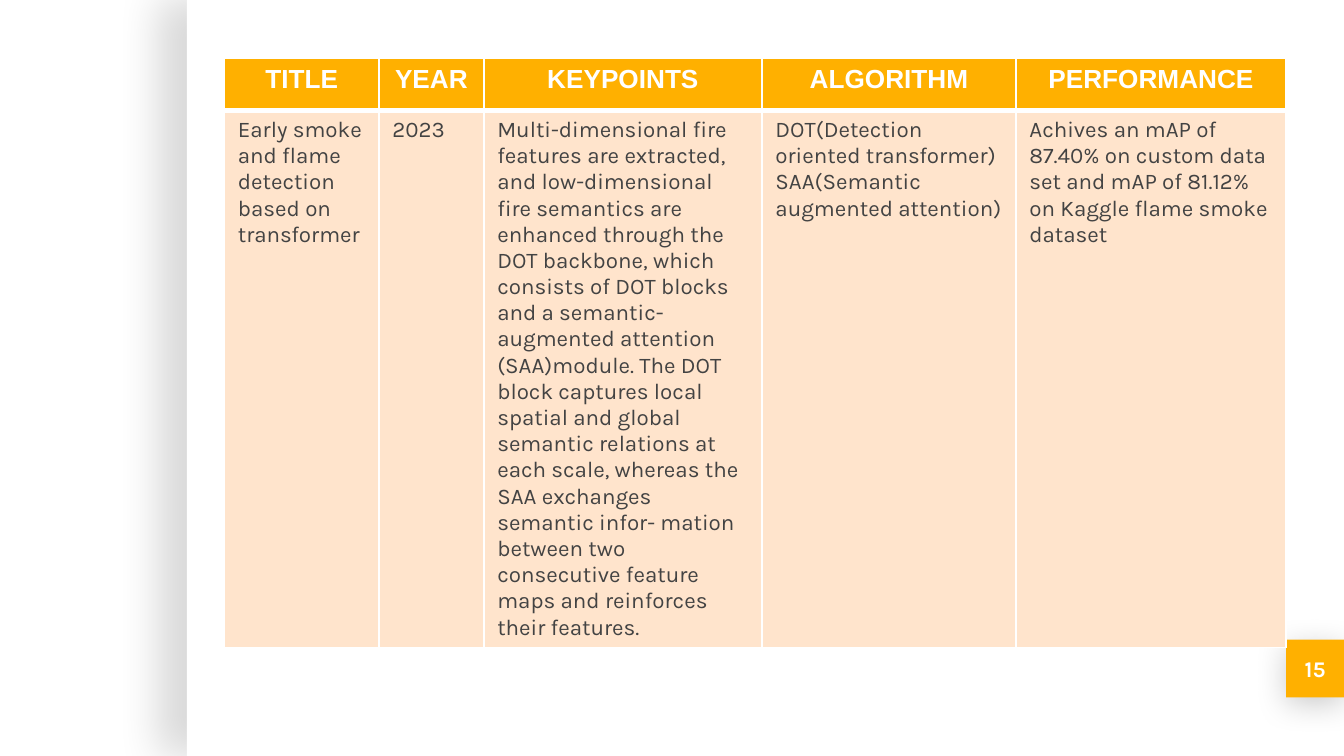
import dataclasses

import pptx
import pptx.util
import pptx.oxml.ns
import pptx.dml.color
import pptx.enum.shapes
import pptx.enum.text
from lxml import etree

Inches = pptx.util.Inches
Pt = pptx.util.Pt
RGBColor = pptx.dml.color.RGBColor
Align = pptx.enum.text.PP_ALIGN
qn = pptx.oxml.ns.qn

WIDE = 10
HIGH = WIDE * 9 / 16

WHITE = RGBColor(0xFF, 0xFF, 0xFF)
BLACK = RGBColor(0, 0, 0)
AMBER = RGBColor(0xFF, 0xB0, 0x00)
PEACH = RGBColor(0xFF, 0xE4, 0xCC)
GRAY = RGBColor(0x43, 0x43, 0x43)


@dataclasses.dataclass
class Font:
    name: str
    size: float
    color: RGBColor
    bold: bool = False


@dataclasses.dataclass
class Shade:
    alpha: int  # percent
    blur: float  # points
    dist: float  # points
    angle: int  # degrees


@dataclasses.dataclass
class Column:
    head: str
    width: float
    paras: list[str]


HEAD = Font("Arial", 14, WHITE, True)
BODY = Font("Karla", 12, GRAY)
PAGE = Font("Karla", 12, WHITE, True)

COLUMNS = [
    Column("TITLE", 1.15, ["Early smoke and flame detection based on transformer"]),
    Column("YEAR", 0.78, ["2023"]),
    Column("KEYPOINTS", 2.07, [
        "Multi-dimensional fire features are extracted, and low-dimensional fire "
        "semantics are enhanced through the DOT backbone, which consists of DOT "
        "blocks and a semantic-augmented attention (SAA)module. The DOT block "
        "captures local spatial and global semantic relations at each scale, "
        "whereas the SAA exchanges semantic infor- mation between two consecutive "
        "feature maps and reinforces their features."]),
    Column("ALGORITHM", 1.89, ["DOT(Detection oriented transformer)",
                               "SAA(Semantic augmented attention)"]),
    Column("PERFORMANCE", 2.01, ["Achives an mAP of 87.40% on custom data set and mAP "
                                 "of 81.12% on Kaggle flame smoke dataset"]),
]


def write(frame, paras: list[str], font: Font, align=Align.LEFT) -> None:
    for i, text in enumerate(paras):
        para = frame.paragraphs[0] if i == 0 else frame.add_paragraph()
        para.alignment = align
        run = para.add_run()
        run.text = text
        run.font.name = font.name
        run.font.size = Pt(font.size)
        run.font.bold = font.bold
        run.font.color.rgb = font.color


def add_box(slide, left: float, top: float, width: float, height: float,
            fill: RGBColor, shade: Shade):
    box = slide.shapes.add_shape(
        pptx.enum.shapes.MSO_SHAPE.RECTANGLE,
        Inches(left), Inches(top), Inches(width), Inches(height))
    box.fill.solid()
    box.fill.fore_color.rgb = fill
    box.line.fill.background()
    # Outer shadow
    box.shadow.inherit = False
    effects = box._element.spPr.find(qn("a:effectLst"))
    outer = etree.SubElement(
        effects, qn("a:outerShdw"), blurRad=str(Pt(shade.blur)),
        dist=str(Pt(shade.dist)), dir=str(shade.angle * 60000),
        algn="bl", rotWithShape="0")
    color = etree.SubElement(outer, qn("a:srgbClr"), val=str(BLACK))
    etree.SubElement(color, qn("a:alpha"), val=str(shade.alpha * 1000))
    return box


def set_cell(cell, fill: RGBColor, top: float, base: float) -> None:
    """Fill a cell and give it white borders; top and base are in points."""
    cell.fill.solid()
    cell.fill.fore_color.rgb = fill
    props = cell._tc.get_or_add_tcPr()
    sides = {"a:lnL": 1, "a:lnR": 1, "a:lnT": top, "a:lnB": base}
    for i, (tag, width) in enumerate(sides.items()):
        line = etree.Element(qn(tag), w=str(Pt(width)))
        paint = etree.SubElement(line, qn("a:solidFill"))
        etree.SubElement(paint, qn("a:srgbClr"), val=str(WHITE))
        props.insert(i, line)


def add_grid(slide, left: float, top: float, heights: list[float]) -> None:
    width = sum(col.width for col in COLUMNS)
    grid = slide.shapes.add_table(
        len(heights), len(COLUMNS), Inches(left), Inches(top),
        Inches(width), Inches(sum(heights))).table
    for row, height in zip(grid.rows, heights):
        row.height = Inches(height)
    for i, col in enumerate(COLUMNS):
        grid.columns[i].width = Inches(col.width)
        head, body = grid.cell(0, i), grid.cell(1, i)
        set_cell(head, AMBER, 1, 3)
        set_cell(body, PEACH, 3, 1)
        write(head.text_frame, [col.head], HEAD, Align.CENTER)
        write(body.text_frame, col.paras, BODY)


def main() -> None:
    deck = pptx.Presentation()
    deck.slide_width, deck.slide_height = Inches(WIDE), Inches(HIGH)
    slide = deck.slides.add_slide(deck.slide_layouts[6])

    # White panel
    add_box(slide, 1.39, 0, WIDE - 1.39, HIGH, WHITE, Shade(15, 22.5, 15, 180))

    # Page number
    badge = add_box(slide, 9.57, 4.76, 0.43, 0.43, AMBER, Shade(20, 16.9, 3.8, 90))
    frame = badge.text_frame
    frame.margin_left = frame.margin_right = Inches(0.1)
    frame.margin_top = frame.margin_bottom = Inches(0.1)
    frame.vertical_anchor = pptx.enum.text.MSO_ANCHOR.MIDDLE
    write(frame, ["15"], PAGE, Align.CENTER)

    # Survey table
    add_grid(slide, 1.67, 0.43, [0.39, 3.99])

    deck.save("out.pptx")


if __name__ == "__main__":
    main()
